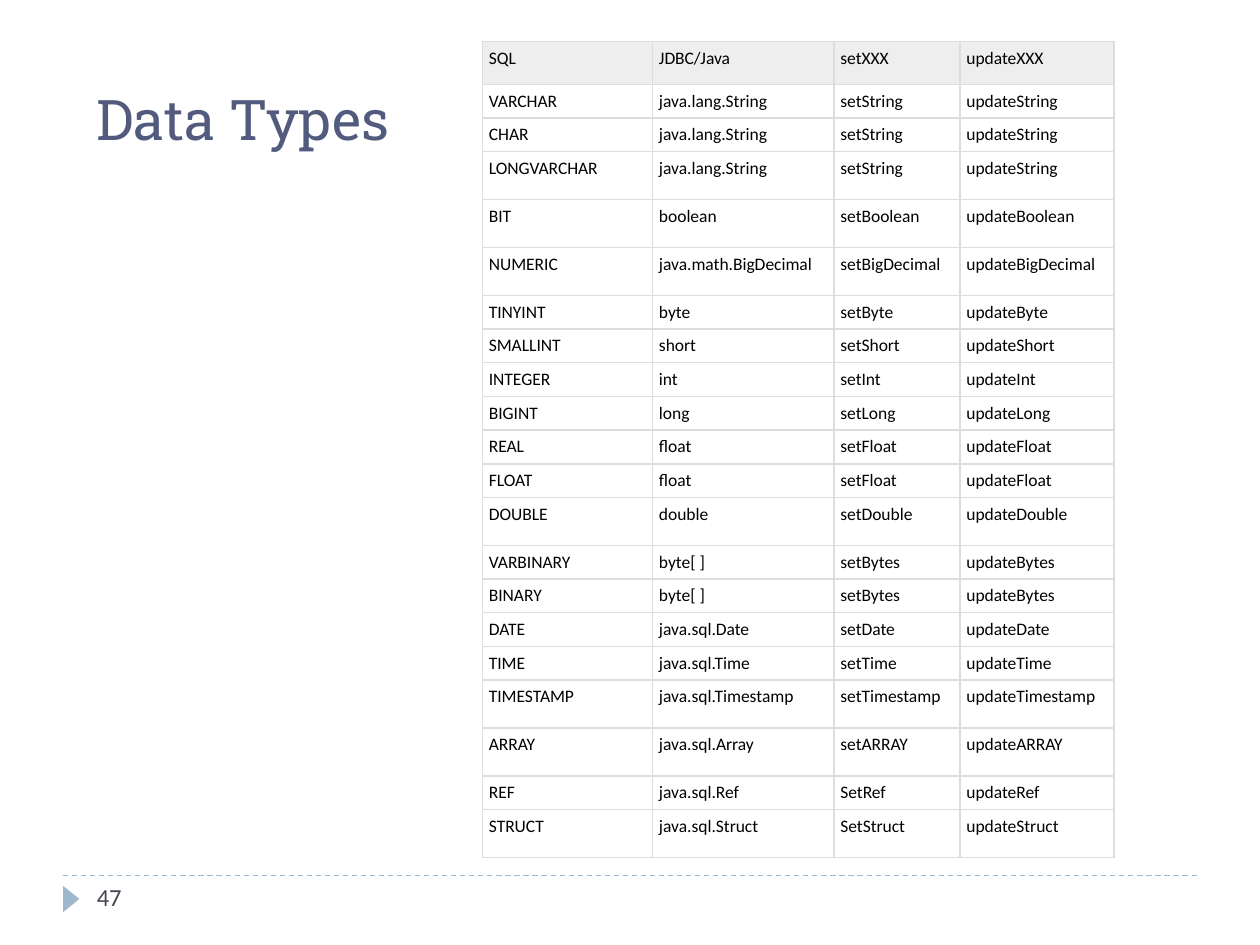
from lxml import etree
from pptx import Presentation
from pptx.dml.color import RGBColor
from pptx.enum.dml import MSO_LINE
from pptx.enum.shapes import MSO_CONNECTOR, MSO_SHAPE
from pptx.enum.text import MSO_ANCHOR
from pptx.oxml.ns import qn
from pptx.util import Inches, Pt

DASH = MSO_LINE.DASH
STRAIGHT = MSO_CONNECTOR.STRAIGHT
TRIANGLE = MSO_SHAPE.ISOSCELES_TRIANGLE
TOP, BOTTOM = MSO_ANCHOR.TOP, MSO_ANCHOR.BOTTOM

TITLE = "Data Types"
PAGE_NUMBER = "47"
HEADER = ("SQL", "JDBC/Java", "setXXX", "updateXXX")
DATA_TYPES = [
    ("VARCHAR", "java.lang.String", "setString", "updateString"),
    ("CHAR", "java.lang.String", "setString", "updateString"),
    ("LONGVARCHAR", "java.lang.String", "setString", "updateString"),
    ("BIT", "boolean", "setBoolean", "updateBoolean"),
    ("NUMERIC", "java.math.BigDecimal", "setBigDecimal", "updateBigDecimal"),
    ("TINYINT", "byte", "setByte", "updateByte"),
    ("SMALLINT", "short", "setShort", "updateShort"),
    ("INTEGER", "int", "setInt", "updateInt"),
    ("BIGINT", "long", "setLong", "updateLong"),
    ("REAL", "float", "setFloat", "updateFloat"),
    ("FLOAT", "float", "setFloat", "updateFloat"),
    ("DOUBLE", "double", "setDouble", "updateDouble"),
    ("VARBINARY", "byte[ ]", "setBytes", "updateBytes"),
    ("BINARY", "byte[ ]", "setBytes", "updateBytes"),
    ("DATE", "java.sql.Date", "setDate", "updateDate"),
    ("TIME", "java.sql.Time", "setTime", "updateTime"),
    ("TIMESTAMP", "java.sql.Timestamp", "setTimestamp", "updateTimestamp"),
    ("ARRAY", "java.sql.Array", "setARRAY", "updateARRAY"),
    ("REF", "java.sql.Ref", "SetRef", "updateRef"),
    ("STRUCT", "java.sql.Struct", "SetStruct", "updateStruct"),
]
TALL_TYPES = {"LONGVARCHAR", "BIT", "NUMERIC", "DOUBLE", "TIMESTAMP", "ARRAY", "STRUCT"}
COLUMN_WIDTHS = (1.35, 1.44, 1, 1.22)
HEADER_HEIGHT, ROW_HEIGHT, TALL_HEIGHT = 0.34, 0.26, 0.38
CELL_MARGIN = 0.05
ACCENT, BORDER, HEADER_FILL = "9FB8CD", "DDDDDD", "EEEEEE"


def color(value):
    return RGBColor.from_string(value)


def style(paragraph, font_name, size, font_color):
    paragraph.font.name = font_name
    paragraph.font.size = Pt(size)
    paragraph.font.color.rgb = color(font_color)


def add_text(slide, text, box, anchor, font_name, size, font_color):
    frame = slide.shapes.add_textbox(*map(Inches, box)).text_frame
    frame.word_wrap = True
    frame.vertical_anchor = anchor
    frame.text = text
    style(frame.paragraphs[0], font_name, size, font_color)


def add_borders(cell):
    properties = cell._tc.get_or_add_tcPr()
    for position, side in enumerate(("a:lnL", "a:lnR", "a:lnT", "a:lnB")):
        border = etree.Element(qn(side), w=str(Pt(1)))
        fill = etree.SubElement(border, qn("a:solidFill"))
        etree.SubElement(fill, qn("a:srgbClr"), val=BORDER)
        properties.insert(position, border)


def row_height(row):
    if row is HEADER:
        return HEADER_HEIGHT
    return TALL_HEIGHT if row[0] in TALL_TYPES else ROW_HEIGHT


def add_type_table(slide):
    rows = [HEADER, *DATA_TYPES]
    heights = [row_height(row) for row in rows]
    table = slide.shapes.add_table(
        len(rows), len(HEADER), Inches(3.83), Inches(0.33),
        Inches(sum(COLUMN_WIDTHS)), Inches(sum(heights))).table
    table.horz_banding = False
    for column, width in zip(table.columns, COLUMN_WIDTHS):
        column.width = Inches(width)
    for table_row, height, row in zip(table.rows, heights, rows):
        table_row.height = Inches(height)
        for cell, text in zip(table_row.cells, row):
            cell.text = text
            cell.margin_left = cell.margin_right = Inches(CELL_MARGIN)
            cell.margin_top = cell.margin_bottom = Inches(CELL_MARGIN)
            paragraph = cell.text_frame.paragraphs[0]
            style(paragraph, "Calibri", 10, "000000")
            paragraph.font.bold = False
            if row is HEADER:
                cell.fill.solid()
                cell.fill.fore_color.rgb = color(HEADER_FILL)
            else:
                cell.fill.background()
            add_borders(cell)


def add_footer(slide):
    rule = slide.shapes.add_connector(
        STRAIGHT, Inches(0.5), Inches(6.95), Inches(9.5), Inches(6.95))
    rule.line.color.rgb = color(ACCENT)
    rule.line.width = Pt(0.75)
    rule.line.dash_style = DASH
    etree.SubElement(rule._element.spPr, qn("a:effectLst"))

    marker = slide.shapes.add_shape(
        TRIANGLE, Inches(0.46), Inches(7.07), Inches(0.21), Inches(0.13))
    marker.rotation = 90
    marker.shadow.inherit = False
    marker.fill.solid()
    marker.fill.fore_color.rgb = color(ACCENT)
    marker.line.fill.background()

    add_text(slide, PAGE_NUMBER, (0.67, 6.95, 2.17, 0.4), TOP, "Calibri", 14, "464653")


def main():
    deck = Presentation()
    deck.slide_width, deck.slide_height = Inches(10), Inches(7.5)
    slide = deck.slides.add_slide(deck.slide_layouts[6])
    add_footer(slide)
    add_text(slide, TITLE, (0.67, 0.17, 8.33, 1.08), BOTTOM, "Roboto Slab", 32, "525B7E")
    add_type_table(slide)
    deck.save("out.pptx")


if __name__ == "__main__":
    main()
